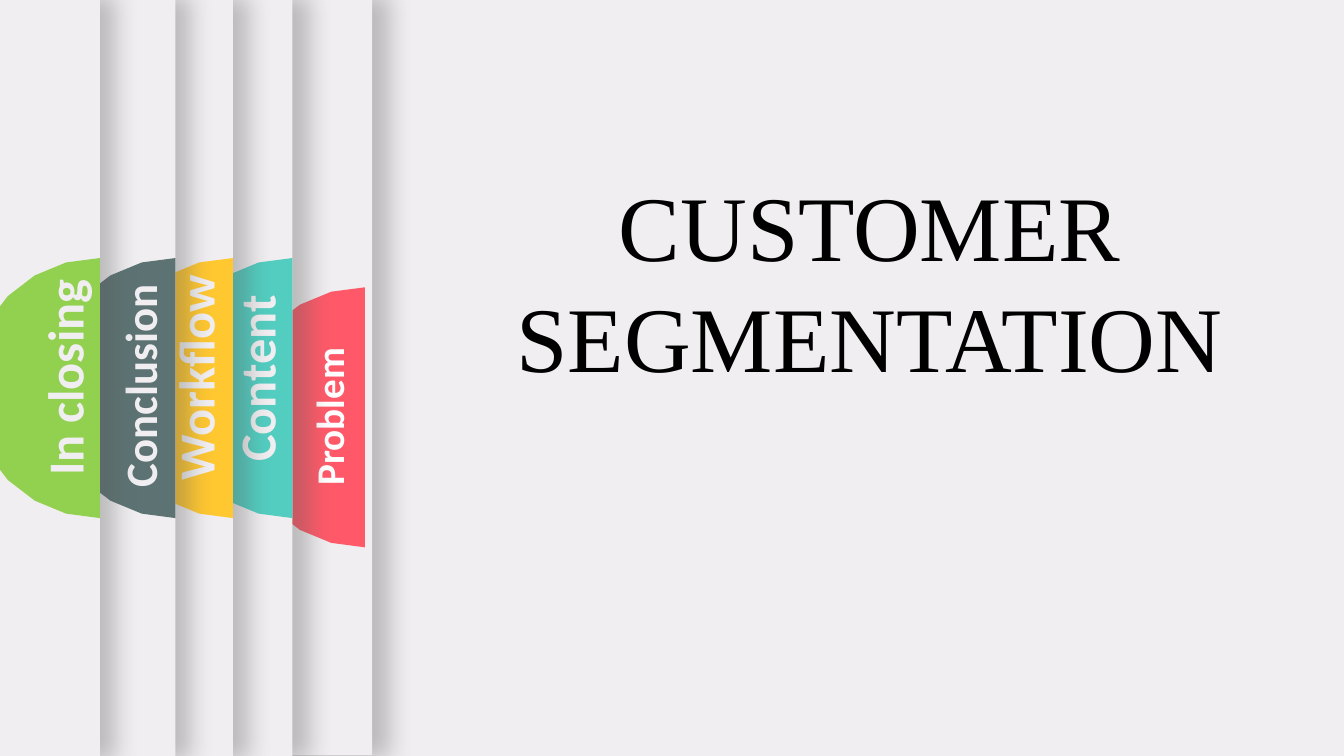
from math import cos, pi, sin

from lxml.etree import SubElement
from pptx import Presentation
from pptx.dml.color import RGBColor
from pptx.enum.shapes import MSO_SHAPE
from pptx.enum.text import MSO_AUTO_SIZE, PP_ALIGN
from pptx.oxml.ns import qn
from pptx.util import Inches, Pt

COLORS = {
    "paper": "F0EEF0",
    "shadow": "595959",
    "white": "FFFFFF",
    "black": "000000",
    "red": "FF5969",
    "teal": "52CDC0",
    "yellow": "FFC730",
    "slate": "5D7373",
    "green": "92D050",
}
TAB_RADIUS = 1.29
ARC_STEPS = 12

PANELS = [
    ("Problem", (-9.96, -0.01, 13.65, 7.5), (3.62, 4.14), "red",
     (2.17, 3.85, 2.18, 0.57), 28, "white", PP_ALIGN.CENTER),
    ("Content", (-9.62, 0, 12.52, 7.5), (2.9, 3.85), "teal",
     (1.45, 3.4, 2.18, 0.71), 36, "paper", PP_ALIGN.CENTER),
    ("Workflow", (-8.58, 0, 10.89, 7.5), (2.31, 3.85), "yellow",
     (0.75, 3.39, 2.37, 0.71), 36, "paper", PP_ALIGN.CENTER),
    ("Conclusion", (-8.73, 0, 10.47, 7.5), (1.74, 3.85), "slate",
     (-0.02, 3.21, 2.81, 0.64), 32, "paper", PP_ALIGN.LEFT),
    ("In closing", (-8.51, 0, 9.5, 7.5), (0.99, 3.85), "green",
     (-0.55, 3.39, 2.37, 0.71), 36, "paper", PP_ALIGN.CENTER),
]


def color(name):
    """Return the named colour."""
    return RGBColor.from_string(COLORS[name])


def paint(shape, name):
    """Fill a shape with a flat colour, without outline or shadow."""
    shape.fill.solid()
    shape.fill.fore_color.rgb = color(name)
    shape.line.fill.background()
    shape.shadow.inherit = False


def cast_shadow(shape):
    """Give a shape a soft, slightly enlarged shadow to its right."""
    effects = shape.element.spPr.find(qn("a:effectLst"))
    shadow = SubElement(effects, qn("a:outerShdw"), blurRad=str(Pt(17)),
                        dist=str(Pt(3)), dir="0", sx="101000", sy="101000",
                        algn="l", rotWithShape="0")
    tint = SubElement(shadow, qn("a:srgbClr"), val=COLORS["shadow"])
    SubElement(tint, qn("a:alpha"), val="35000")


def add_panel(shapes, box):
    """Add a full-height sheet with a shadow."""
    panel = shapes.add_shape(MSO_SHAPE.RECTANGLE, *map(Inches, box))
    paint(panel, "paper")
    cast_shadow(panel)


def add_tab(shapes, center, fill):
    """Add a half disc that bulges to the left of its centre."""
    x, y = center
    angles = [pi / 2 + pi * step / ARC_STEPS for step in range(ARC_STEPS + 1)]
    arc = [(Inches(x + TAB_RADIUS * cos(a)), Inches(y - TAB_RADIUS * sin(a)))
           for a in angles]
    outline = shapes.build_freeform(*arc[0])
    outline.add_line_segments(arc[1:], close=True)
    paint(outline.convert_to_shape(), fill)


def add_text(shapes, text, box, font_name, size, ink, align, bold=False):
    """Add a text box with one paragraph and return it."""
    textbox = shapes.add_textbox(*map(Inches, box))
    frame = textbox.text_frame
    frame.word_wrap = True
    frame.auto_size = MSO_AUTO_SIZE.SHAPE_TO_FIT_TEXT
    paragraph = frame.paragraphs[0]
    paragraph.text = text
    paragraph.alignment = align
    font = paragraph.font
    font.name, font.size, font.bold = font_name, Pt(size), bold
    font.color.rgb = color(ink)
    return textbox


def main():
    """Build the slide and save it."""
    deck = Presentation()
    deck.slide_width, deck.slide_height = Inches(13.33), Inches(7.5)
    slide = deck.slides.add_slide(deck.slide_layouts[6])
    slide.background.fill.solid()
    slide.background.fill.fore_color.rgb = color("paper")

    for label, panel_box, center, fill, label_box, size, ink, align in PANELS:
        group = slide.shapes.add_group_shape().shapes
        add_panel(group, panel_box)
        add_tab(group, center, fill)
        caption = add_text(group, label, label_box, "Calibri", size, ink,
                           align, bold=True)
        caption.rotation = 270

    add_text(slide.shapes, "CUSTOMER SEGMENTATION", (4.39, 1.63, 8.47, 2.32),
             "Times New Roman", 66, "black", PP_ALIGN.CENTER)

    deck.save("out.pptx")


if __name__ == "__main__":
    main()
